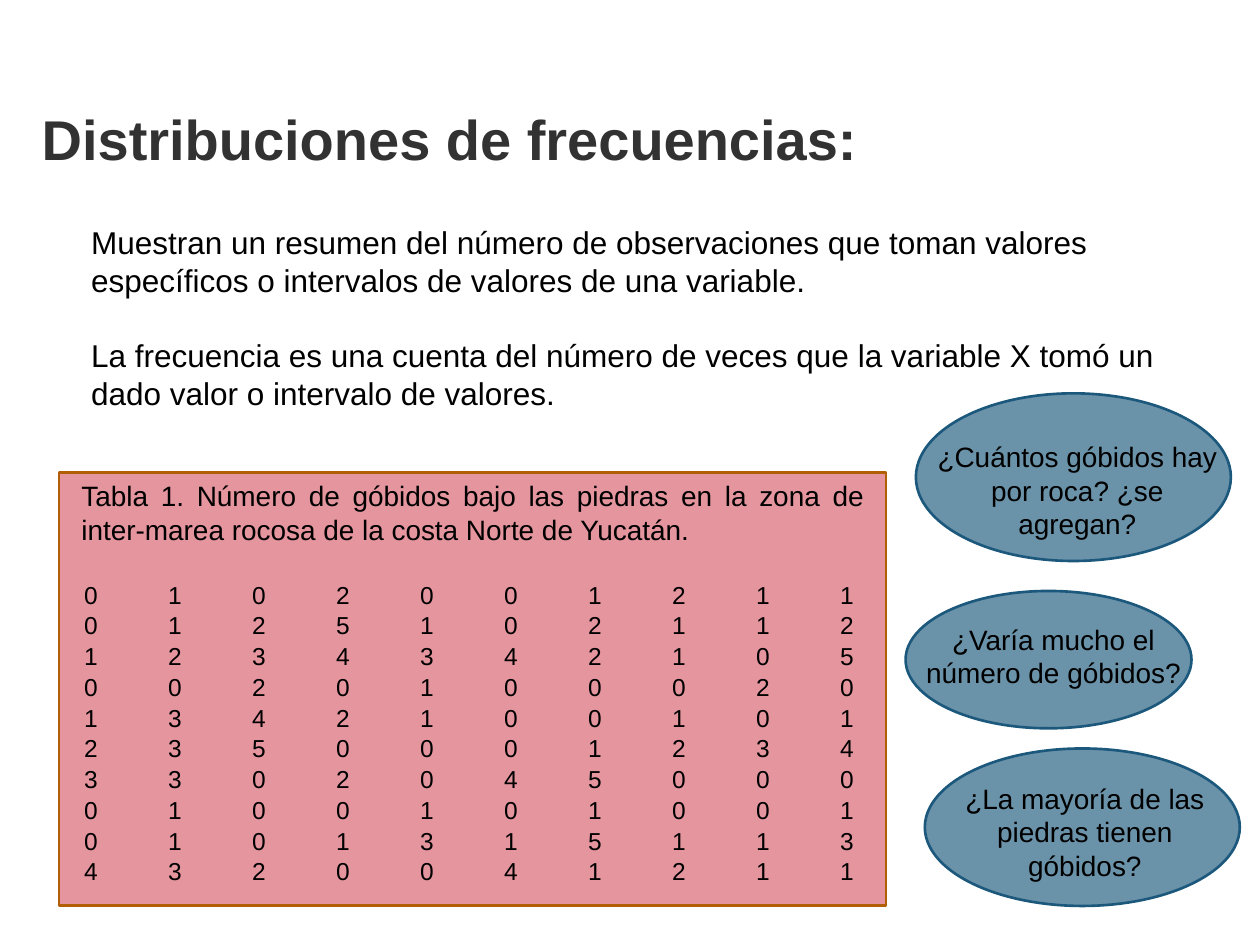
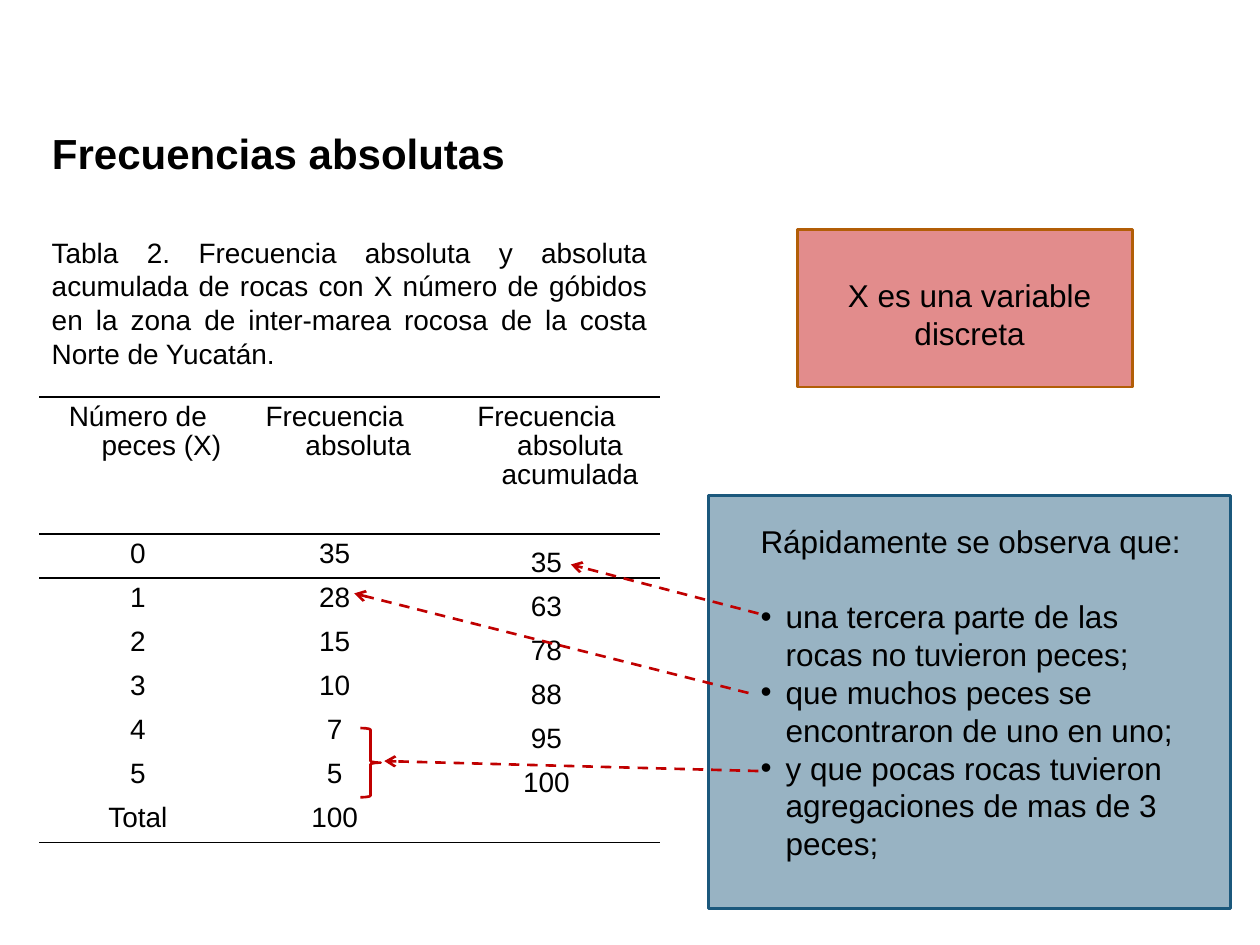
"""Builds two slides on frequency distributions of gobies under rocks."""
import pptx
import pptx.dml.color
import pptx.enum.dml
import pptx.enum.shapes
import pptx.enum.text
import pptx.oxml
import pptx.oxml.ns
import pptx.util

Pt = pptx.util.Pt
RGBColor = pptx.dml.color.RGBColor
Shape = pptx.enum.shapes.MSO_SHAPE
Align = pptx.enum.text.PP_ALIGN
Anchor = pptx.enum.text.MSO_ANCHOR

BLACK = RGBColor(0x00, 0x00, 0x00)
CHARCOAL = RGBColor(0x32, 0x32, 0x32)
BLUE = RGBColor(0x1B, 0x58, 0x7C)
PINK = RGBColor(0xD9, 0x6B, 0x77)
BROWN = RGBColor(0xB2, 0x5E, 0x07)
RED = RGBColor(0xC0, 0x00, 0x00)

FONT = "Arial"
PLAIN_TABLE = "{2D5ABB26-0587-4C30-8999-92F81FD0307C}"

GOBY_COUNTS = [
    "0102001211", "0125102112", "1234342105", "0020100020", "1342100101",
    "2350001234", "3302045000", "0100101001", "0101315113", "4320041211",
]
FREQUENCIES = [
    ("Número de peces (X)", "Frecuencia absoluta", "Frecuencia absoluta acumulada"),
    ("0", "35", "35"),
    ("1", "28", "63"),
    ("2", "15", "78"),
    ("3", "10", "88"),
    ("4", "7", "95"),
    ("5", "5", "100"),
    ("Total", "100", ""),
]


def add_xml(parent, markup, position=None):
    namespace = pptx.oxml.ns.nsdecls("a")
    element = pptx.oxml.parse_xml(markup.replace("NS", namespace, 1))
    parent.insert(len(parent) if position is None else position, element)


class SlideBuilder:
    def __init__(self):
        self.deck = pptx.Presentation()
        self.deck.slide_width = Pt(720)
        self.deck.slide_height = Pt(540)
        self.page = None

    def format_paragraph(self, para, size, color=BLACK, bold=False, align=Align.LEFT):
        para.alignment = align
        for span in para.runs:
            span.font.name = FONT
            span.font.size = Pt(size)
            span.font.bold = bold
            span.font.color.rgb = color

    def start(self, title, place, size, color):
        self.page = self.deck.slides.add_slide(self.deck.slide_layouts[5])
        box = self.page.shapes.title
        box.left, box.top, box.width, box.height = map(Pt, place)
        box.text_frame.text = title
        box.text_frame.vertical_anchor = Anchor.TOP
        self.format_paragraph(box.text_frame.paragraphs[0], size, color, True)

    def text(self, place, lines, size, align=Align.LEFT, gap=0, bullets=False):
        box = self.page.shapes.add_textbox(*map(Pt, place))
        box.text_frame.word_wrap = True
        box.text_frame.text = "\n".join(lines)
        for index, para in enumerate(box.text_frame.paragraphs):
            if index == 1:
                para.space_before = Pt(gap)
            if bullets and index:
                self.indent(para, 14.4)
                add_xml(para._p.get_or_add_pPr(), '<a:buFont NS typeface="Arial"/>')
                add_xml(para._p.get_or_add_pPr(), '<a:buChar NS char="•"/>')
            self.format_paragraph(para, size, align=align)

    def indent(self, para, amount):
        properties = para._p.get_or_add_pPr()
        properties.set("marL", str(Pt(amount)))
        properties.set("indent", str(-Pt(amount)))

    def shape(self, kind, place, line, fill=None, opacity=100):
        shape = self.page.shapes.add_shape(kind, *map(Pt, place))
        shape.shadow.inherit = False
        shape.line.color.rgb = line
        shape.line.width = Pt(1.5)
        if fill is None:
            shape.fill.background()
            return
        shape.fill.solid()
        shape.fill.fore_color.rgb = fill
        color = shape._element.spPr.find(".//" + pptx.oxml.ns.qn("a:srgbClr"))
        add_xml(color, f'<a:alpha NS val="{opacity * 1000}"/>')

    def arrow(self, start, end):
        arrow = self.page.shapes.add_connector(
            pptx.enum.shapes.MSO_CONNECTOR.STRAIGHT, *map(Pt, start + end))
        arrow.line.color.rgb = RED
        arrow.line.width = Pt(1.5)
        arrow.line.dash_style = pptx.enum.dml.MSO_LINE.DASH
        add_xml(arrow.line._get_or_add_ln(), '<a:tailEnd NS type="arrow"/>')
        add_xml(arrow._element.spPr, "<a:effectLst NS/>")

    def table(self, left, top, widths, heights, rows, size):
        frame = self.page.shapes.add_table(
            len(rows), len(widths), Pt(left), Pt(top), Pt(sum(widths)), Pt(sum(heights)))
        table = frame.table
        table.first_row = table.horz_banding = False
        frame._element.find(".//" + pptx.oxml.ns.qn("a:tableStyleId")).text = PLAIN_TABLE
        for column, width in zip(table.columns, widths):
            column.width = Pt(width)
        for row, height, values in zip(table.rows, heights, rows):
            row.height = Pt(height)
            for cell, value in zip(row.cells, values):
                cell.text_frame.text = value
                cell.fill.background()
                self.format_paragraph(cell.text_frame.paragraphs[0], size, align=Align.CENTER)
        return table

    def compact(self, cell):
        cell.margin_left = cell.margin_right = cell.margin_top = Pt(0.7)
        cell.margin_bottom = 0
        cell.vertical_anchor = Anchor.BOTTOM

    def hanging(self, cell):
        para = cell.text_frame.paragraphs[0]
        para.line_spacing = 0.93
        self.indent(para, 27)

    def rule(self, row, *sides):
        for cell in row.cells:
            for position, side in enumerate(sides):
                add_xml(cell._tc.get_or_add_tcPr(),
                        f'<a:ln{side} NS w="{Pt(1)}"><a:solidFill><a:srgbClr val="{BLACK}"/>'
                        f'</a:solidFill></a:ln{side}>', position)


def build_distributions(builder):
    builder.start("Distribuciones de frecuencias:", (16.6, 56.2, 669.6, 46), 32, CHARCOAL)
    bubbles = [
        ((528.5, 427.7, 180, 90), (535.7, 442.8, 168.5, 65.5),
         "¿La mayoría de las piedras tienen góbidos?"),
        ((517.5, 337.7, 163.4, 78.5), (512, 352, 180, 46),
         "¿Varía mucho el número de góbidos?"),
        ((523.4, 224.8, 180, 95.8), (528.5, 247.7, 174.2, 65.5),
         "¿Cuántos góbidos hay por roca? ¿se agregan?"),
    ]
    for outline, place, question in bubbles:
        builder.shape(Shape.OVAL, outline, BLUE, BLUE, 65)
        builder.text(place, [question], 16, Align.CENTER)
    builder.shape(Shape.RECTANGLE, (33.8, 270, 472.5, 247.5), BROWN, PINK, 71)
    table = builder.table(28, 330.6, [48] * 10, [17.6] * 10, GOBY_COUNTS, 14)
    for cell in table.iter_cells():
        builder.compact(cell)
    builder.text((45, 123.8, 630, 116.6), [
        "Muestran un resumen del número de observaciones que toman valores específicos "
        "o intervalos de valores de una variable.",
        "La frecuencia es una cuenta del número de veces que la variable X tomó un dado "
        "valor o intervalo de valores.",
    ], 18, gap=21.6)
    builder.text((39.4, 270, 461.5, 46), [
        "Tabla 1. Número de góbidos bajo las piedras en la zona de inter-marea rocosa "
        "de la costa Norte de Yucatán.",
    ], 16, Align.JUSTIFY)


def build_absolute(builder):
    builder.start("Frecuencias absolutas", (22.5, 69.2, 303.8, 36), 24, BLACK)
    builder.shape(Shape.RECTANGLE, (405, 283, 298, 236.2), BLUE, BLUE, 45)
    table = builder.table(22.5, 226.8, [112.5, 112.5, 129.5], [78.3] + [25.2] * 7,
                          FREQUENCIES, 16)
    for index, row in enumerate(table.rows):
        for column, cell in enumerate(row.cells):
            if index and column == 2:
                builder.compact(cell)
            else:
                builder.hanging(cell)
    builder.rule(table.rows[0], "T", "B")
    builder.rule(table.rows[1], "T")
    builder.rule(table.rows[7], "B")
    builder.text((22.5, 131, 354.4, 85), [
        "Tabla 2. Frecuencia absoluta y absoluta acumulada de rocas con X número de "
        "góbidos en la zona de inter-marea rocosa de la costa Norte de Yucatán.",
    ], 16, Align.JUSTIFY)
    builder.text((427.5, 294.7, 258.5, 203.8), [
        "Rápidamente se observa que:",
        "una tercera parte de las rocas no tuvieron peces;",
        "que muchos peces se encontraron de uno en uno;",
        "y que pocas rocas tuvieron agregaciones de mas de 3 peces;",
    ], 18, gap=21.6, bullets=True)
    builder.arrow((433.4, 350.6), (326.2, 322.6))
    builder.arrow((427.7, 396), (202.4, 339.1))
    builder.arrow((433.4, 440.6), (219.6, 434.9))
    builder.shape(Shape.RIGHT_BRACE, (206, 416, 11.5, 39.6), RED)
    builder.shape(Shape.RECTANGLE, (455.8, 131.2, 191.2, 90), BROWN, RED, 45)
    builder.text((472.4, 154.1, 163.4, 51), ["X es una variable discreta"], 18, Align.CENTER)


def main():
    builder = SlideBuilder()
    build_distributions(builder)
    build_absolute(builder)
    builder.deck.save("out.pptx")


if __name__ == "__main__":
    main()
